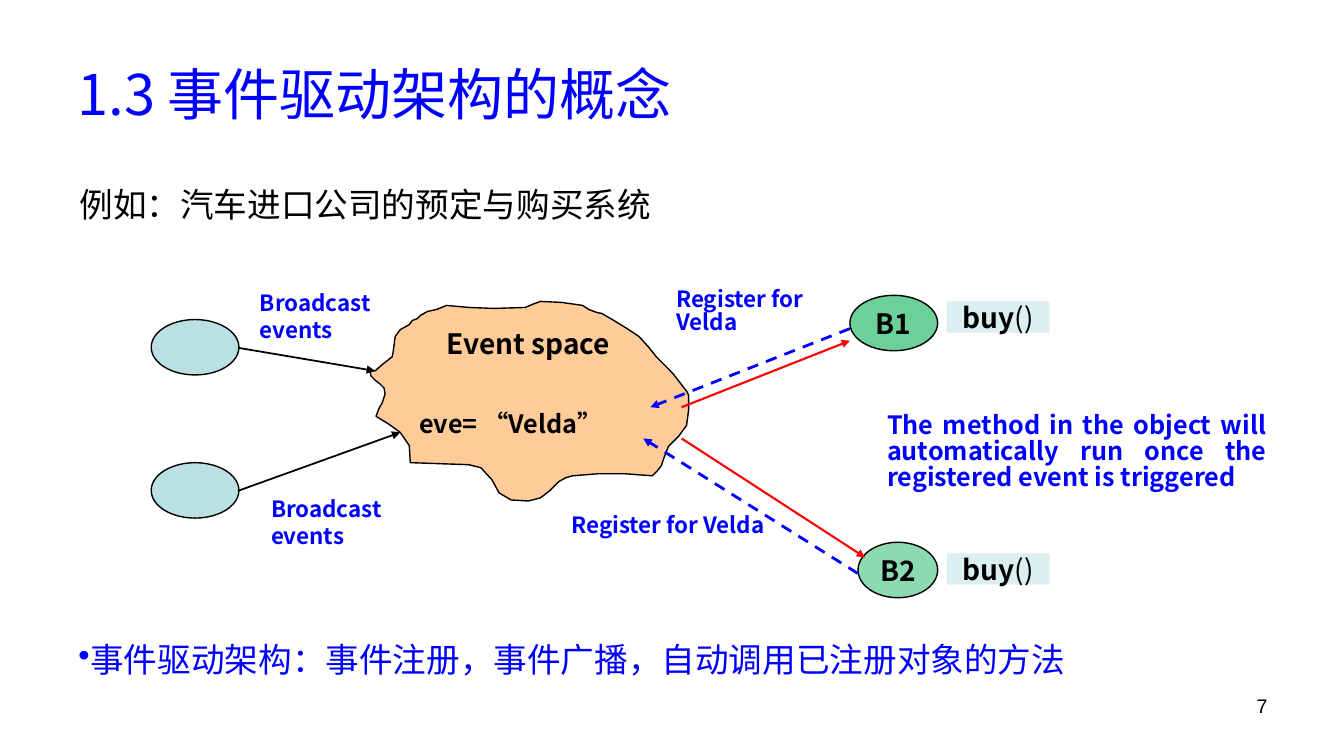
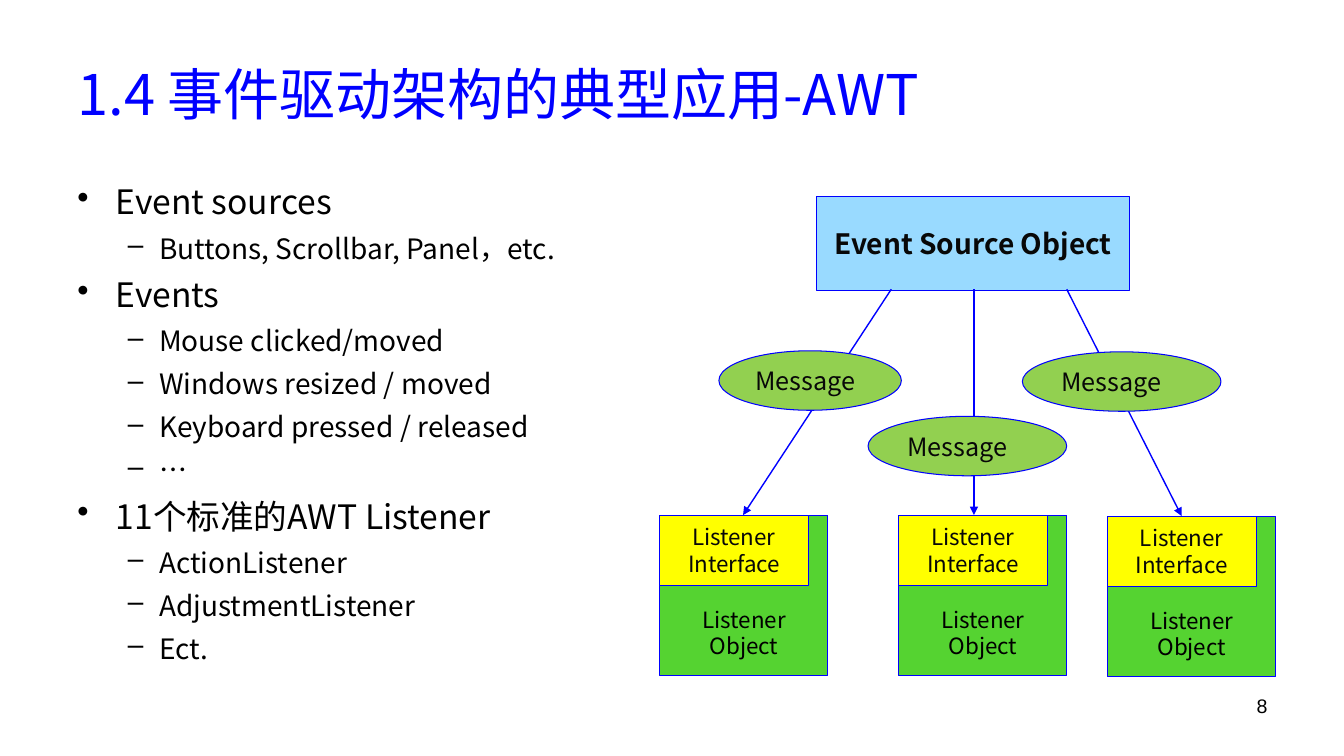
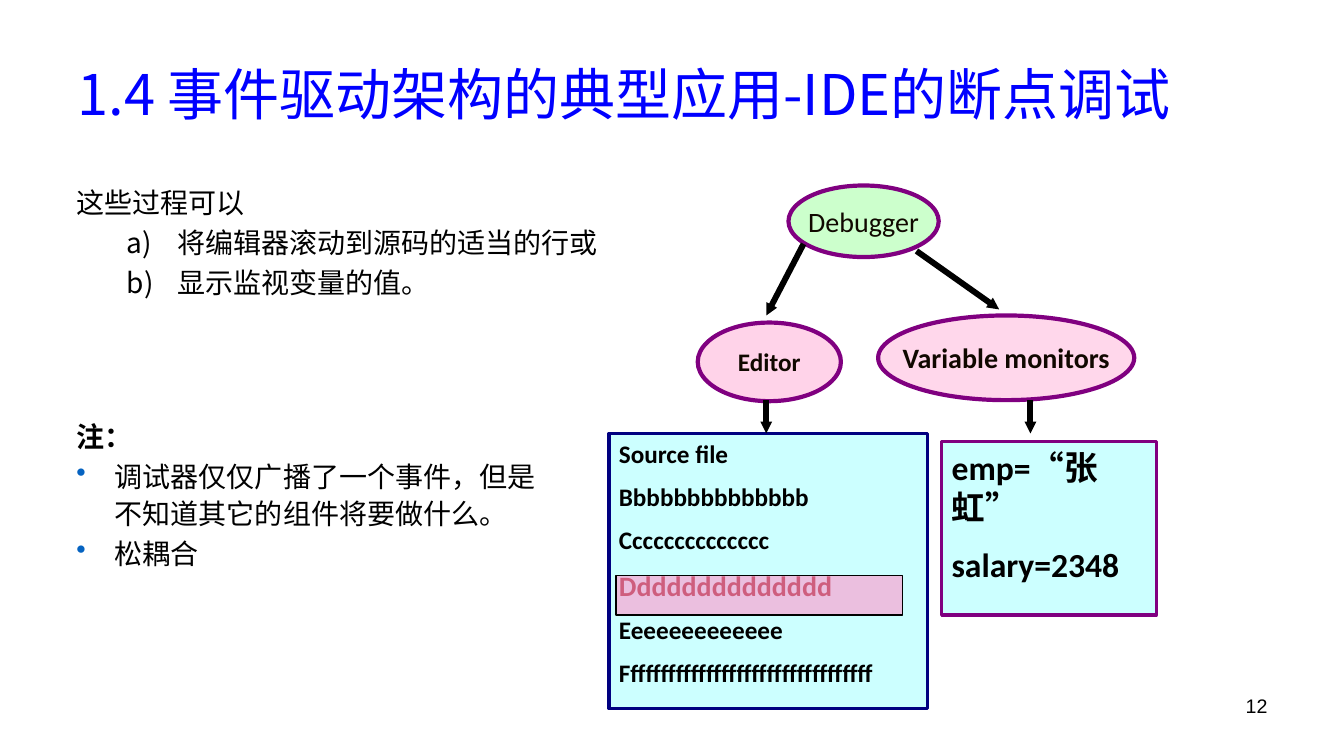
from dataclasses import dataclass, replace

from pptx import Presentation
from pptx.dml.color import RGBColor
from pptx.enum.dml import MSO_LINE
from pptx.enum.shapes import MSO_CONNECTOR, MSO_SHAPE
from pptx.enum.text import MSO_ANCHOR, PP_ALIGN
from pptx.oxml.ns import qn
from pptx.oxml.xmlchemy import OxmlElement
from pptx.util import Inches, Pt

OVAL, BOX = MSO_SHAPE.OVAL, MSO_SHAPE.RECTANGLE
LEFT, CENTER, RIGHT, JUSTIFY = PP_ALIGN.LEFT, PP_ALIGN.CENTER, PP_ALIGN.RIGHT, PP_ALIGN.JUSTIFY
TOP, MIDDLE = MSO_ANCHOR.TOP, MSO_ANCHOR.MIDDLE
STRAIGHT, DASH = MSO_CONNECTOR.STRAIGHT, MSO_LINE.DASH


@dataclass(frozen=True)
class Theme:
    # Fonts
    main_font: str = "Noto Sans CJK SC"
    code_font: str = "Calibri"
    number_font: str = "Arial"
    # Type sizes, in points
    title: int = 40
    large: int = 24
    medium: int = 20
    normal: int = 18
    small: int = 16
    number: int = 14
    line_height: float = 1.2
    # Colours
    black: str = "000000"
    ink: str = "080808"
    brown_ink: str = "100800"
    blue: str = "0000FF"
    red: str = "FF0000"
    maroon: str = "800000"
    navy: str = "000080"
    purple: str = "800080"
    bullet_blue: str = "0563C1"
    pale_teal: str = "BBE0E3"
    green: str = "00B050"
    peach: str = "FFCC99"
    sky: str = "99DAFF"
    leaf: str = "55D331"
    lime: str = "92D050"
    yellow: str = "FFFF00"
    mint: str = "CCFFCC"
    pink: str = "FF99CC"
    pale_cyan: str = "CCFFFF"


THEME = Theme()


@dataclass(frozen=True)
class Words:
    """One paragraph and its look; light_tail is a closing run without bold."""
    text: str
    size: int = THEME.medium
    color: str = THEME.black
    bold: bool = False
    font: str = THEME.main_font
    align: PP_ALIGN = LEFT
    leading: float = 1.0
    gap: float = 0
    level: int = 0
    bullet: str = ""
    bullet_color: str = ""
    left: float = 0
    hanging: float = 0
    light_tail: str = ""


def add_child(parent, tag, **attributes):
    child = OxmlElement(tag)
    for name, value in attributes.items():
        child.set(name, value)
    parent.append(child)
    return child


class Deck:
    def __init__(self, theme):
        self.theme = theme
        self.presentation = Presentation()
        self.presentation.slide_width = Inches(13.33)
        self.presentation.slide_height = Inches(7.5)
        self.slide = None

    def new_slide(self, title, number):
        theme = self.theme
        self.slide = self.presentation.slides.add_slide(self.presentation.slide_layouts[6])
        self.text(0.67, 0.3, 12, 1.25, Words(title, theme.title, theme.blue), anchor=MIDDLE)
        self.text(9.56, 6.83, 3.11, 0.52,
                  Words(number, theme.number, font=theme.number_font, align=RIGHT))

    def fill_text(self, shape, paragraphs, anchor, wrap, side_inset=0.1):
        frame = shape.text_frame
        frame.word_wrap = wrap
        frame.vertical_anchor = anchor
        frame.margin_left = frame.margin_right = Inches(side_inset)
        if isinstance(paragraphs, Words):
            paragraphs = [paragraphs]
        for index, words in enumerate(paragraphs):
            paragraph = frame.add_paragraph() if index else frame.paragraphs[0]
            self.fill_paragraph(paragraph, words)
            if index:
                paragraph.space_before = Pt(words.gap)

    def fill_paragraph(self, paragraph, words):
        paragraph.add_run().text = words.text
        if words.light_tail:
            tail = paragraph.add_run()
            tail.text = words.light_tail
            tail.font.bold = False
        paragraph.alignment = words.align
        paragraph.level = words.level
        paragraph.line_spacing = Pt(round(words.size * self.theme.line_height * words.leading, 1))
        if words.bullet:
            self.set_bullet(paragraph, words)
        font = paragraph.font
        font.name = words.font
        font.size = Pt(words.size)
        font.bold = words.bold
        font.color.rgb = RGBColor.from_string(words.color)
        # East Asian letters have a font entry of their own
        add_child(paragraph._p.pPr.get_or_add_defRPr(), "a:ea", typeface=self.theme.main_font)

    def set_bullet(self, paragraph, words):
        properties = paragraph._p.get_or_add_pPr()
        properties.set("marL", str(Inches(words.left)))
        properties.set("indent", str(-Inches(words.hanging)))
        if words.bullet_color:
            add_child(add_child(properties, "a:buClr"), "a:srgbClr", val=words.bullet_color)
        if words.bullet == "a)":
            add_child(properties, "a:buAutoNum", type="alphaLcParenR")
        else:
            add_child(properties, "a:buChar", char=words.bullet)

    def text(self, left, top, width, height, paragraphs, anchor=TOP, side_inset=0.1):
        box = self.slide.shapes.add_textbox(Inches(left), Inches(top), Inches(width), Inches(height))
        self.fill_text(box, paragraphs, anchor, True, side_inset)

    def paint(self, shape, fill, line, line_width, opacity=100):
        shape.shadow.inherit = False
        shape.fill.solid()
        shape.fill.fore_color.rgb = RGBColor.from_string(fill)
        if opacity < 100:
            color = shape._element.spPr.find(qn("a:solidFill"))[0]
            add_child(color, "a:alpha", val=str(opacity * 1000))
        if line:
            shape.line.color.rgb = RGBColor.from_string(line)
            shape.line.width = Pt(line_width)
        else:
            shape.line.fill.background()

    def shape(self, kind, left, top, width, height, fill, line=None, line_width=1.0,
              opacity=100, paragraphs=None, anchor=MIDDLE, wrap=True):
        shape = self.slide.shapes.add_shape(
            kind, Inches(left), Inches(top), Inches(width), Inches(height))
        self.paint(shape, fill, line, line_width, opacity)
        if paragraphs:
            self.fill_text(shape, paragraphs, anchor, wrap)

    def outline(self, points, fill, line):
        corners = [(Inches(x), Inches(y)) for x, y in points]
        builder = self.slide.shapes.build_freeform(*corners[0])
        builder.add_line_segments(corners[1:], close=True)
        self.paint(builder.convert_to_shape(), fill, line, 1)

    def arrow(self, start, end, color, width, dash=None, head="med"):
        connector = self.slide.shapes.add_connector(
            STRAIGHT, *(Inches(value) for value in (*start, *end)))
        connector.line.color.rgb = RGBColor.from_string(color)
        connector.line.width = Pt(width)
        if dash:
            connector.line.dash_style = dash
        properties = connector._element.spPr
        add_child(properties.find(qn("a:ln")), "a:tailEnd", type="triangle", w=head, len=head)
        add_child(properties, "a:effectLst")


CLOUD = [
    (3.67, 3.67), (3.72, 3.68), (3.8, 3.61), (3.89, 3.54), (3.9, 3.49), (3.92, 3.34),
    (3.97, 3.27), (4.06, 3.22), (4.09, 3.18), (4.14, 3.16), (4.17, 3.13), (4.24, 3.09),
    (4.33, 3.07), (4.43, 3.03), (4.65, 3.05), (4.9, 3.06), (5.21, 3.05), (5.28, 3.02),
    (5.36, 2.99), (5.57, 3), (5.78, 3.03), (5.84, 3.07), (5.92, 3.1), (5.97, 3.11),
    (6.09, 3.18), (6.22, 3.26), (6.34, 3.34), (6.43, 3.44), (6.51, 3.54), (6.67, 3.7),
    (6.81, 3.88), (6.83, 3.92), (6.83, 4.07), (6.81, 4.22), (6.73, 4.33), (6.63, 4.43),
    (6.59, 4.53), (6.56, 4.62), (6.52, 4.67), (6.47, 4.72), (6.2, 4.7), (5.93, 4.7),
    (5.68, 4.72), (5.61, 4.74), (5.54, 4.78), (5.45, 4.87), (5.36, 4.94), (5.24, 4.97),
    (5.07, 4.96), (4.95, 4.89), (4.88, 4.76), (4.77, 4.64), (4.65, 4.61), (4.36, 4.6),
    (4.07, 4.59), (4.06, 4.42), (3.97, 4.29), (3.86, 4.21), (3.73, 4.13), (3.76, 4.05),
    (3.79, 4), (3.82, 3.91), (3.81, 3.85), (3.77, 3.81), (3.72, 3.77), (3.68, 3.73),
]


def event_concept(deck):
    theme = deck.theme
    label = Words("", theme.small, theme.blue, True)
    strong = Words("", bold=True)
    centered = replace(strong, align=CENTER)
    deck.new_slide("1.3 事件驱动架构的概念", "7")
    deck.text(0.69, 1.78, 6.31, 0.5, Words("例如：汽车进口公司的预定与购买系统", theme.large))

    # Event space
    deck.outline(CLOUD, theme.peach, theme.black)
    deck.text(4.33, 3.19, 2.27, 0.44, replace(strong, text="Event space"))
    deck.text(4.06, 4, 2.21, 0.4, replace(strong, text="eve= “Velda”", size=theme.normal))

    # Broadcasting sources
    for top, tip, label_left, label_top in ((3.17, (3.72, 3.68), 2.48, 2.82),
                                            (4.59, (3.97, 4.29), 2.59, 4.86)):
        deck.shape(OVAL, 1.5, top, 0.87, 0.55, theme.pale_teal, theme.black)
        deck.arrow((2.36, top + 0.28), tip, theme.black, 1.25)
        deck.text(label_left, label_top, 1.41, 0.64, replace(label, text="Broadcast events"))

    # Registered objects and their methods
    for name, left, top, width, opacity, method_top in (("B1", 8.43, 2.93, 0.87, 58, 2.99),
                                                        ("B2", 8.51, 5.38, 0.79, 45, 5.49)):
        deck.shape(OVAL, left, top, width, 0.55, theme.green, theme.black, opacity=opacity,
                   paragraphs=replace(centered, text=name), wrap=False)
        deck.shape(BOX, 9.39, method_top, 1.02, 0.31, theme.pale_teal, opacity=53,
                   paragraphs=replace(centered, text="buy", light_tail="()"), wrap=False)

    # Registration and triggering
    deck.arrow((8.43, 3.26), (6.45, 4.04), theme.blue, 2, DASH)
    deck.arrow((8.51, 5.69), (6.38, 4.35), theme.blue, 2, DASH)
    deck.arrow((6.76, 4.04), (8.43, 3.38), theme.red, 1.5)
    deck.arrow((6.76, 4.35), (8.58, 5.53), theme.red, 1.5)
    tight = replace(label, leading=0.85)
    deck.text(6.61, 2.82, 1.8, 0.56, [replace(tight, text=line) for line in ("Register for", "Velda")])
    deck.text(5.67, 5.06, 2.12, 0.56, replace(tight, text="Register for Velda"), side_inset=0)
    deck.text(8.7, 4.06, 3.96, 0.87, replace(
        tight, size=theme.normal, align=JUSTIFY,
        text="The method in the object will automatically run once the registered event is triggered"))

    # Summary
    deck.text(0.68, 6.29, 11.98, 0.5, Words(
        "事件驱动架构：事件注册，事件广播，自动调用已注册对象的方法",
        theme.large, theme.blue, bullet="•", hanging=0.38))


def awt_application(deck):
    theme = deck.theme
    topic = Words("", theme.large, gap=6.7, bullet="•", left=0.38, hanging=0.38)
    detail = Words("", gap=6.7, level=1, bullet="–", left=0.81, hanging=0.31)
    topics = {
        "Event sources": ["Buttons, Scrollbar, Panel，etc."],
        "Events": ["Mouse clicked/moved", "Windows resized / moved",
                   "Keyboard pressed / released", "…"],
        "11个标准的AWT Listener": ["ActionListener", "AdjustmentListener", "Ect."],
    }
    deck.new_slide("1.4 事件驱动架构的典型应用-AWT", "8")
    outline = []
    for heading, items in topics.items():
        outline.append(replace(topic, text=heading))
        outline.extend(replace(detail, text=item) for item in items)
    deck.text(0.67, 1.75, 12, 4.95, outline)

    # Event source
    deck.shape(BOX, 8.1, 1.95, 3.1, 0.93, theme.sky, theme.blue, 0.75,
               paragraphs=Words("Event Source Object", color=theme.ink, bold=True, align=CENTER))

    # Listeners
    caption = Words("", theme.small, align=CENTER)
    for left, top in ((6.54, 5.11), (8.91, 5.11), (10.98, 5.12)):
        deck.shape(BOX, left, top, 1.67, 1.59, theme.leaf, theme.blue, 0.75)
        deck.shape(BOX, left, top, 1.48, 0.7, theme.yellow, theme.blue, 0.75,
                   paragraphs=[replace(caption, text=line, color=theme.ink)
                               for line in ("Listener", "Interface")])
        deck.text(left + 0.19, top + 0.85, 1.3, 0.64,
                  [replace(caption, text=line) for line in ("Listener", "Object")])

    # Messages on their way
    for start, end, left, top, width in (((8.84, 2.87), (7.37, 5.11), 7.13, 3.48, 1.81),
                                         ((9.66, 2.87), (9.66, 5.11), 8.61, 4.13, 1.97),
                                         ((10.58, 2.87), (11.72, 5.12), 10.14, 3.49, 1.97)):
        deck.arrow(start, end, theme.blue, 1)
        deck.shape(OVAL, left, top, width, 0.59, theme.lime, theme.blue, 0.75,
                   paragraphs=Words("Message", theme.normal, theme.ink))


def ide_debugging(deck):
    theme = deck.theme
    deck.new_slide("1.4 事件驱动架构的典型应用-IDE的断点调试", "12")

    # Explanation
    plain = Words("", leading=1.1, gap=2)
    choice = replace(plain, level=1, bullet="a)", left=1, hanging=0.5)
    note = replace(plain, bullet="•", bullet_color=theme.bullet_blue, left=0.38, hanging=0.38)
    deck.text(0.66, 1.76, 5.93, 1.28, [
        replace(plain, text="这些过程可以"),
        replace(choice, text="将编辑器滚动到源码的适当的行或"),
        replace(choice, text="显示监视变量的值。")])
    deck.text(0.66, 4.08, 4.98, 1.65, [
        replace(plain, text="注：", bold=True),
        replace(note, text="调试器仅仅广播了一个事件，但是不知道其它的组件将要做什么。"),
        replace(note, text="松耦合")])

    # Components
    name = Words("", color=theme.brown_ink, font=theme.code_font, align=CENTER)
    for left, top, width, height, fill, opacity, words in (
            (7.82, 1.84, 1.49, 0.71, theme.mint, 100, replace(name, text="Debugger")),
            (6.92, 3.2, 1.42, 0.78, theme.pink, 43,
             replace(name, text="Editor", size=theme.normal, bold=True)),
            (8.71, 3.13, 2.54, 0.84, theme.pink, 39,
             replace(name, text="Variable monitors", bold=True))):
        deck.shape(OVAL, left, top, width, height, fill, theme.purple, 3, opacity, words, wrap=False)

    # Source file with the current line marked, and watched values
    code = Words("", theme.normal, bold=True, font=theme.code_font, gap=9)
    value = replace(code, size=theme.large, gap=12)
    lines = [replace(code, text=text) for text in (
        "Source file", "Bbbbbbbbbbbbbb", "Cccccccccccccc", "Dddddddddddddd",
        "Eeeeeeeeeeeee", "Fffffffffffffffffffffffffffffffff")]
    lines[3] = replace(lines[3], size=theme.medium, color=theme.maroon, gap=10)
    deck.shape(BOX, 6.04, 4.3, 3.16, 2.73, theme.pale_cyan, theme.navy, 2.5,
               paragraphs=lines, anchor=TOP)
    deck.shape(BOX, 6.11, 5.71, 2.84, 0.39, theme.pink, theme.black, opacity=62)
    deck.shape(BOX, 9.34, 4.38, 2.13, 1.72, theme.pale_cyan, theme.purple, 2.5, anchor=TOP,
               paragraphs=[replace(value, text=text) for text in ("emp=“张虹”", "salary=2348")])

    # Event flow
    for start, end in (((9.09, 2.49), (9.91, 3.07)), ((7.97, 2.42), (7.6, 3.13)),
                       ((7.6, 3.97), (7.6, 4.3)), ((10.22, 3.97), (10.22, 4.3))):
        deck.arrow(start, end, theme.black, 4.25, head="sm")


def main():
    deck = Deck(THEME)
    event_concept(deck)
    awt_application(deck)
    ide_debugging(deck)
    deck.presentation.save("out.pptx")


if __name__ == "__main__":
    main()
